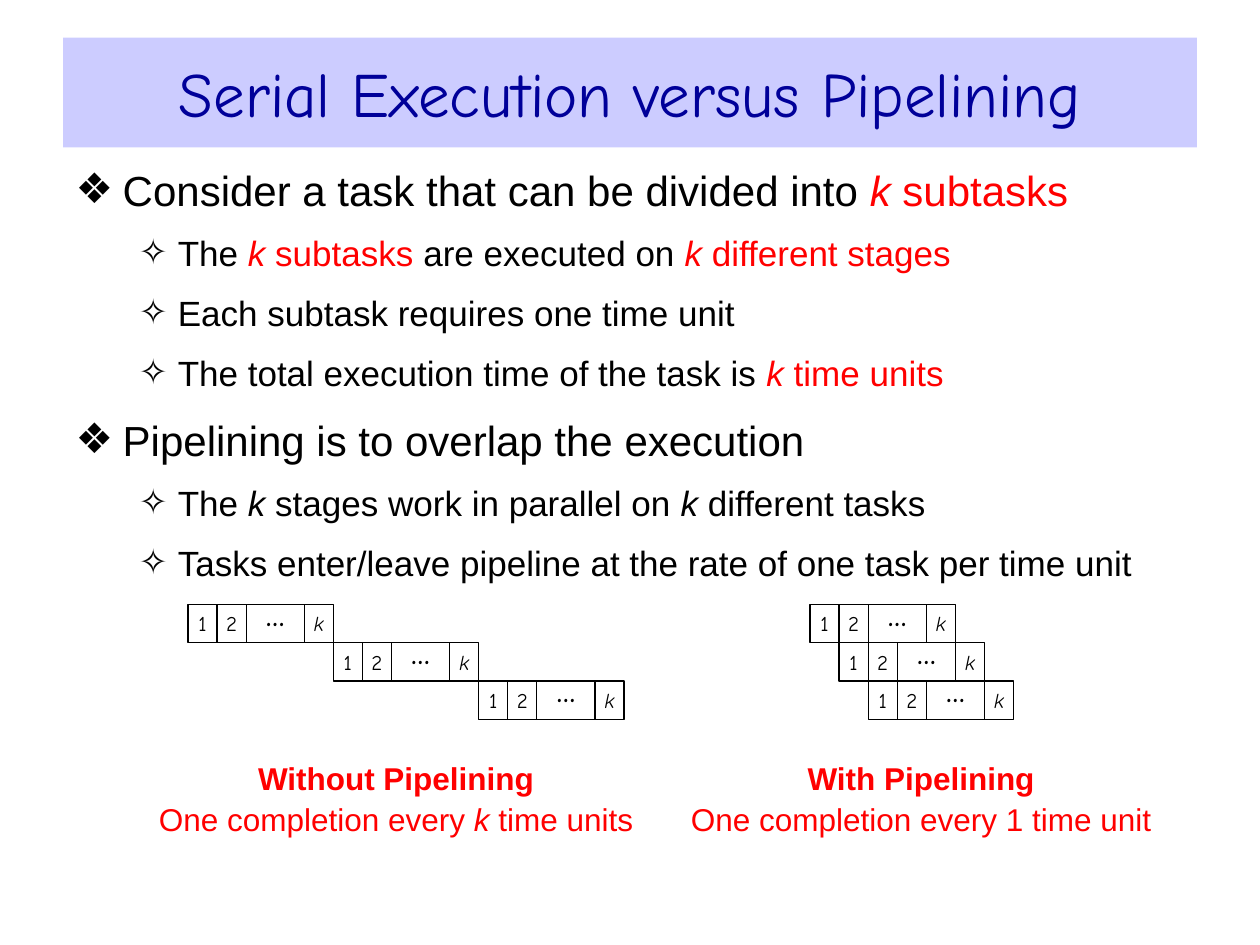
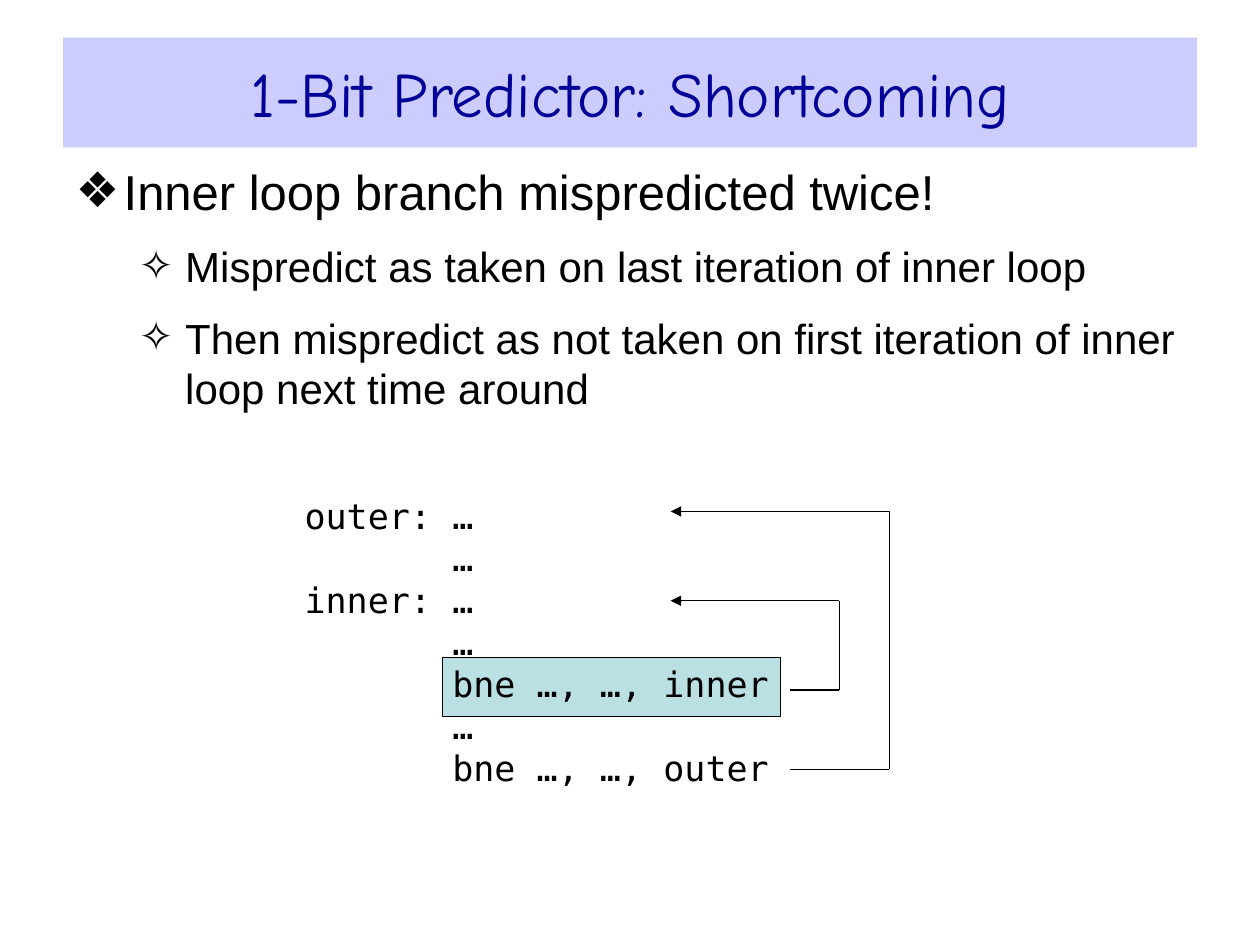
from dataclasses import dataclass
from itertools import pairwise
from typing import Any, NamedTuple

from lxml.etree import SubElement
from pptx import Presentation
from pptx.dml.color import RGBColor
from pptx.enum.shapes import MSO_CONNECTOR as CONN, MSO_SHAPE as SHAPE
from pptx.enum.text import MSO_ANCHOR as ANCHOR, MSO_AUTO_SIZE as FIT, PP_ALIGN as ALIGN
from pptx.oxml.ns import qn
from pptx.util import Cm, Pt

BLACK, WHITE, RED = "000000", "FFFFFF", "FF0000"
NAVY, LAVENDER, TEAL = "000099", "CCCCFF", "BBE0E3"
SANS, COMIC, MONO = "Arial", "Comic Neue", "DejaVu Sans Mono"


class Box(NamedTuple):
    left: float
    top: float
    width: float
    height: float


@dataclass(frozen=True)
class Run:
    text: str
    color: str = BLACK
    italic: bool = False
    bold: bool = False


@dataclass(frozen=True)
class Level:
    size: int
    before: int
    margin: float
    hang: float
    bullet: str


@dataclass(frozen=True)
class Item:
    level: int
    runs: tuple[Run, ...]


@dataclass(frozen=True)
class Schedule:
    left: float
    shift: int
    caption: Box
    heading: str
    note: tuple[Run, ...]


@dataclass(frozen=True)
class Jump:
    points: tuple[tuple[float, float], ...]


TITLE_BOX = Box(1.27, 0.76, 22.86, 2.21)
PIPELINE_LEVELS = (Level(24, 12, 0.95, 0.95, "❖"), Level(20, 10, 2.06, 0.79, "✧"))
PREDICTOR_LEVELS = (Level(28, 14, 0.97, 0.97, "❖"), Level(24, 12, 2.21, 0.94, "✧"))

TASK_WIDTH, TASK_HEIGHT, TASK_TOP, TASK_COUNT = 2.93, 0.77, 12.19, 3
STAGE = TASK_WIDTH / 5

K = Run("k", italic=True)
RED_K = Run("k", RED, italic=True)

PIPELINE_ITEMS = (
    Item(0, (Run("Consider a task that can be divided into "), RED_K, Run(" subtasks", RED))),
    Item(1, (Run("The "), RED_K, Run(" subtasks", RED), Run(" are executed on "),
             RED_K, Run(" different stages", RED))),
    Item(1, (Run("Each subtask requires one time unit"),)),
    Item(1, (Run("The total execution time of the task is "), RED_K, Run(" time units", RED))),
    Item(0, (Run("Pipelining is to overlap the execution"),)),
    Item(1, (Run("The "), K, Run(" stages work in parallel on "), K, Run(" different tasks"))),
    Item(1, (Run("Tasks enter/leave pipeline at the rate of one task per time unit"),)),
)
SCHEDULES = (
    Schedule(3.79, 5, Box(2.88, 15.17, 10.21, 1.85), "Without Pipelining",
             (Run("One completion every ", RED), RED_K, Run(" time units", RED))),
    Schedule(16.33, 1, Box(13.64, 15.17, 9.86, 1.85), "With Pipelining",
             (Run("One completion every 1 time unit", RED),)),
)
PREDICTOR_ITEMS = (
    Item(0, (Run("Inner loop branch mispredicted twice!"),)),
    Item(1, (Run("Mispredict as taken on last iteration of inner loop"),)),
    Item(1, (Run("Then mispredict as not taken on first iteration of inner "
                 "loop next time around"),)),
)
CODE_BOX = Box(5.89, 9.85, 10.4, 6.2)
CODE = """outer: …
       …
inner: …
       …
       bne …, …, inner
       …
       bne …, …, outer"""
JUMPS = (
    Jump(((15.93, 13.91), (16.92, 13.91), (16.92, 12.11), (13.52, 12.11))),
    Jump(((15.93, 15.51), (17.93, 15.51), (17.93, 10.31), (13.52, 10.31))),
)


def rgb(value: str) -> RGBColor:
    return RGBColor.from_string(value)


def apply(obj: Any, fmt: dict[str, Any]) -> None:
    for name, value in fmt.items():
        setattr(obj, name, value)


def place(sp: Any, box: Box) -> None:
    apply(sp, {name: Cm(value) for name, value in box._asdict().items()})


def paint(sp: Any, color: str) -> None:
    sp.fill.solid()
    sp.fill.fore_color.rgb = rgb(color)


def add_runs(p: Any, runs: tuple[Run, ...], font: str, size: float) -> None:
    for run in runs:
        r = p.add_run()
        r.text = run.text
        apply(r.font, {"name": font, "size": Pt(size), "bold": run.bold, "italic": run.italic})
        r.font.color.rgb = rgb(run.color)


def add_bullet(p: Any, level: Level) -> None:
    pPr = p._p.get_or_add_pPr()
    pPr.set("marL", str(Cm(level.margin)))
    pPr.set("indent", str(-Cm(level.hang)))
    color = SubElement(pPr, qn("a:buClr"))
    SubElement(color, qn("a:srgbClr")).set("val", BLACK)
    SubElement(pPr, qn("a:buChar")).set("char", level.bullet)


def add_slide(prs: Any, title: str, body_box: Box, items: tuple[Item, ...],
              levels: tuple[Level, ...]) -> Any:
    slide = prs.slides.add_slide(prs.slide_layouts[1])
    head, body = slide.placeholders
    place(head, TITLE_BOX)
    paint(head, LAVENDER)
    apply(head.text_frame, {"auto_size": FIT.NONE, "vertical_anchor": ANCHOR.MIDDLE})
    p = head.text_frame.paragraphs[0]
    p.alignment = ALIGN.CENTER
    add_runs(p, (Run(title, NAVY),), COMIC, 36)

    place(body, body_box)
    tf = body.text_frame
    tf.auto_size = FIT.NONE
    for i, item in enumerate(items):
        p = tf.add_paragraph() if i else tf.paragraphs[0]
        level = levels[item.level]
        add_bullet(p, level)
        apply(p, {"level": item.level, "space_before": Pt(level.before if i else 0)})
        add_runs(p, item.runs, SANS, level.size)
    return slide


def add_text(shapes: Any, box: Box, lines: list[tuple[Run, ...]], font: str, size: float,
             before: float = 0, align: Any = ALIGN.CENTER, **frame: Any) -> None:
    sp = shapes.add_textbox(*map(Cm, box))
    tf = sp.text_frame
    apply(tf, {"word_wrap": True, **frame})
    for i, runs in enumerate(lines):
        p = tf.add_paragraph() if i else tf.paragraphs[0]
        apply(p, {"alignment": align, "space_before": Pt(before if i else 0)})
        add_runs(p, runs, font, size)


def add_rect(shapes: Any, box: Box, color: str) -> None:
    sp = shapes.add_shape(SHAPE.RECTANGLE, *map(Cm, box))
    sp.shadow.inherit = False
    paint(sp, color)
    sp.line.width = Pt(0.75)
    sp.line.color.rgb = rgb(BLACK)


def add_line(shapes: Any, start: tuple[float, float], end: tuple[float, float],
             arrow: bool = False) -> None:
    line = shapes.add_connector(CONN.STRAIGHT, *map(Cm, (*start, *end)))
    line.line.width = Pt(0.75)
    line.line.color.rgb = rgb(BLACK)
    if arrow:
        SubElement(line.line._get_or_add_ln(), qn("a:tailEnd")).set("type", "triangle")
    SubElement(line._element.spPr, qn("a:effectLst"))


def add_task(shapes: Any, left: float, top: float) -> None:
    add_rect(shapes, Box(left, top, TASK_WIDTH, TASK_HEIGHT), WHITE)
    for column, run in ((0, Run("1")), (1, Run("2")), (4, K)):
        cell = Box(left + column * STAGE, top, STAGE, TASK_HEIGHT)
        add_text(shapes, cell, [(run,)], COMIC, 12, margin_left=0, margin_right=0)
    for column in (1, 2, 4):
        x = left + column * STAGE
        add_line(shapes, (x, top), (x, top + TASK_HEIGHT))
    dots = Box(left + 3 * STAGE - 0.36, top - 0.13, 0.72, 0.69)
    margins = {f"margin_{side}": 0 for side in ("left", "top", "right", "bottom")}
    add_text(shapes, dots, [(Run("…", bold=True),)], COMIC, 16, **margins)


def add_schedule(slide: Any, schedule: Schedule) -> None:
    shapes = slide.shapes.add_group_shape().shapes
    for row in range(TASK_COUNT):
        add_task(shapes, schedule.left + row * schedule.shift * STAGE,
                 TASK_TOP + row * TASK_HEIGHT)
    lines = [(Run(schedule.heading, RED, bold=True),), schedule.note]
    add_text(slide.shapes, schedule.caption, lines, SANS, 18, before=2.2)


def add_jump(shapes: Any, jump: Jump) -> None:
    for start, end in pairwise(jump.points):
        add_line(shapes, start, end, arrow=end == jump.points[-1])


def main() -> None:
    prs = Presentation()
    apply(prs, {"slide_width": Cm(25.4), "slide_height": Cm(19.05)})

    slide = add_slide(prs, "Serial Execution versus Pipelining",
                      Box(1.27, 3.18, 22.73, 14.15), PIPELINE_ITEMS, PIPELINE_LEVELS)
    for schedule in SCHEDULES:
        add_schedule(slide, schedule)

    slide = add_slide(prs, "1-Bit Predictor: Shortcoming",
                      Box(1.27, 3.12, 22.86, 6.07), PREDICTOR_ITEMS, PREDICTOR_LEVELS)
    shapes = slide.shapes.add_group_shape().shapes
    add_rect(shapes, Box(8.92, 13.26, 6.81, 1.19), TEAL)
    add_text(shapes, CODE_BOX, [(Run(line),) for line in CODE.splitlines()],
             MONO, 20, align=ALIGN.LEFT)
    for jump in JUMPS:
        add_jump(shapes, jump)

    prs.save("out.pptx")


if __name__ == "__main__":
    main()
